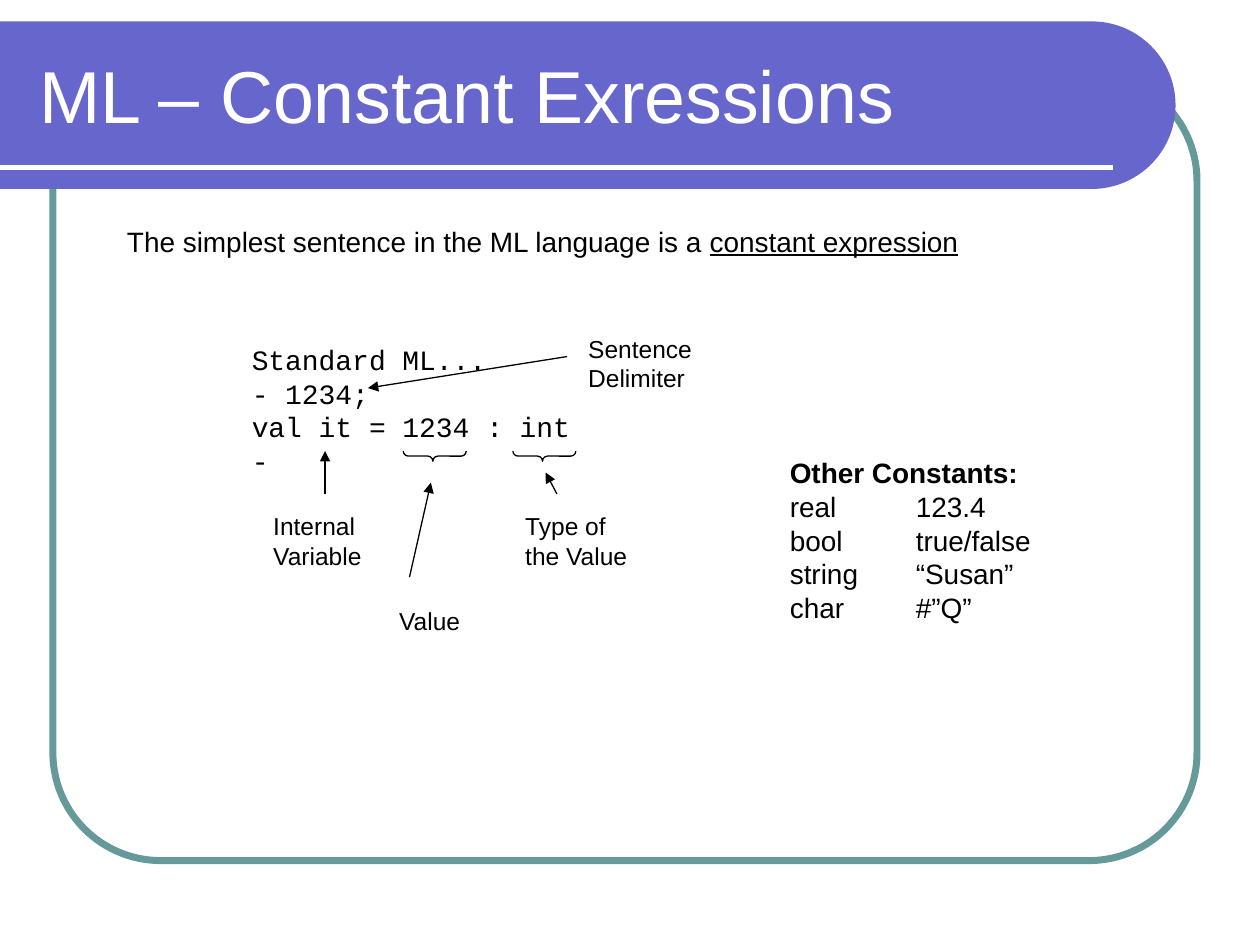
from dataclasses import dataclass

from lxml import etree
from pptx import Presentation
from pptx.dml.color import RGBColor
from pptx.enum.shapes import MSO_CONNECTOR, MSO_SHAPE
from pptx.enum.text import MSO_ANCHOR, MSO_AUTO_SIZE, PP_ALIGN
from pptx.oxml.ns import qn
from pptx.util import Inches, Pt

STRAIGHT = MSO_CONNECTOR.STRAIGHT
FRAME = MSO_SHAPE.ROUNDED_RECTANGLE
ROUND_END = MSO_SHAPE.ROUND_2_SAME_RECTANGLE
BRACE = MSO_SHAPE.RIGHT_BRACE
LEFT, MIDDLE = PP_ALIGN.LEFT, MSO_ANCHOR.MIDDLE
NO_FIT, GROW = MSO_AUTO_SIZE.NONE, MSO_AUTO_SIZE.SHAPE_TO_FIT_TEXT

TEAL, VIOLET, WHITE, BLACK = "669999", "6666CC", "FFFFFF", "000000"
TITLE_ONLY_LAYOUT = 5


@dataclass
class Label:
    left: float
    top: float
    width: float
    height: float
    lines: list[str]
    size: int = 14
    font: str = "Arial"


@dataclass
class Line:
    start: tuple[float, float]
    end: tuple[float, float]
    color: str = BLACK
    weight: float = 0.75
    arrow: bool = True


CALLOUTS = [
    Label(1.9, 2.67, 2.73, 1.17,
          ["Standard ML...", "- 1234;", "val it = 1234 : int", "-"], 16, "Courier New"),
    Label(4.57, 2.6, 1.84, 0.34, ["Sentence Delimiter"]),
    Label(2.07, 4.01, 0.91, 0.57, ["Internal", "Variable"]),
    Label(3.07, 4.76, 0.7, 0.34, ["Value"]),
    Label(4.07, 4.01, 1.02, 0.57, ["Type of", "the Value"]),
]
INTRO = Label(0.91, 1.73, 6.8, 0.37, ["The simplest sentence in the ML language is a "], 16)
CONSTANTS = Label(6.17, 3.57, 2.11, 1.44,
                  ["Other Constants:", "real\t123.4", "bool\ttrue/false",
                   "string\t“Susan”", "char\t#”Q”"], 16)
ARROWS = [
    Line((4.5, 2.83), (2.92, 3.08)),
    Line((2.58, 3.92), (2.58, 3.58)),
    Line((3.25, 4.58), (3.42, 3.83)),
    Line((4.42, 3.92), (4.33, 3.75)),
]
BRACE_LEFTS = [3.41, 4.28]


def rgb(color: str) -> RGBColor:
    return RGBColor.from_string(color)


def style_font(font, size: float, name: str, color: str) -> None:
    font.size, font.name = Pt(size), name
    font.color.rgb = rgb(color)


def add_outline(page, kind, left: float, top: float, width: float, height: float,
                color: str, weight: float):
    shape = page.shapes.add_shape(kind, Inches(left), Inches(top), Inches(width), Inches(height))
    shape.shadow.inherit = False
    shape.fill.background()
    shape.line.color.rgb = rgb(color)
    shape.line.width = Pt(weight)
    return shape


def add_line(page, line: Line) -> None:
    connector = page.shapes.add_connector(
        STRAIGHT, *(Inches(value) for value in line.start + line.end))
    connector.line.color.rgb = rgb(line.color)
    connector.line.width = Pt(line.weight)
    if line.arrow:
        etree.SubElement(connector.line._get_or_add_ln(), qn("a:tailEnd"), type="triangle")
    etree.SubElement(connector.element.spPr, qn("a:effectLst"))


def add_label(page, label: Label):
    box = page.shapes.add_textbox(
        Inches(label.left), Inches(label.top), Inches(label.width), Inches(label.height))
    frame = box.text_frame
    frame.text = "\n".join(label.lines)
    frame.word_wrap = False
    frame.auto_size = GROW
    for para in frame.paragraphs:
        for span in para.runs:
            style_font(span.font, label.size, label.font, BLACK)
    return frame


def add_tab_stop(para, position: float) -> None:
    tabs = etree.SubElement(para._p.get_or_add_pPr(), qn("a:tabLst"))
    etree.SubElement(tabs, qn("a:tab"), pos=str(Inches(position)), algn="l")


def add_background(page) -> None:
    frame = add_outline(page, FRAME, 0.42, 0.58, 9.08, 6.25, TEAL, 4)
    frame.adjustments[0] = 0.137

    # The banner is an upright shape turned on its side, round end to the right.
    length, thickness, top = 9.33, 1.33, 0.17
    banner = add_outline(page, ROUND_END, (length - thickness) / 2,
                         top + (thickness - length) / 2, thickness, length, VIOLET, 0)
    banner.rotation = 90
    banner.adjustments[0] = 0.5
    banner.fill.solid()
    banner.fill.fore_color.rgb = rgb(VIOLET)
    banner.line.fill.background()
    add_line(page, Line((0, 1.33), (8.83, 1.33), WHITE, 3, arrow=False))


def add_title(page, text: str) -> None:
    title = page.shapes.title
    title.left, title.top = Inches(0.21), Inches(0.25)
    title.width, title.height = Inches(8.77), Inches(1)
    frame = title.text_frame
    frame.text = text
    frame.auto_size = NO_FIT
    frame.vertical_anchor = MIDDLE
    para = frame.paragraphs[0]
    para.alignment = LEFT
    style_font(para.runs[0].font, 42, "Arial", WHITE)
    # Bring the title in front of the banner.
    title.element.getparent().append(title.element)


def main() -> None:
    deck = Presentation()
    deck.slide_width, deck.slide_height = Inches(10), Inches(7.5)
    page = deck.slides.add_slide(deck.slide_layouts[TITLE_ONLY_LAYOUT])
    add_background(page)
    add_title(page, "ML – Constant Exressions")

    term = add_label(page, INTRO).paragraphs[0].add_run()
    term.text = "constant expression"
    style_font(term.font, INTRO.size, INTRO.font, BLACK)
    term.font.underline = True

    for label in CALLOUTS:
        add_label(page, label)
    for arrow in ARROWS:
        add_line(page, arrow)
    for left in BRACE_LEFTS:
        brace = add_outline(page, BRACE, left, 3.37, 0.08, 0.5, BLACK, 0.75)
        brace.rotation = 90
        brace.adjustments[0], brace.adjustments[1] = 0.5, 0.53

    heading, *rows = add_label(page, CONSTANTS).paragraphs
    heading.runs[0].font.bold = True
    for row in rows:
        add_tab_stop(row, 1)

    deck.save("out.pptx")


if __name__ == "__main__":
    main()
